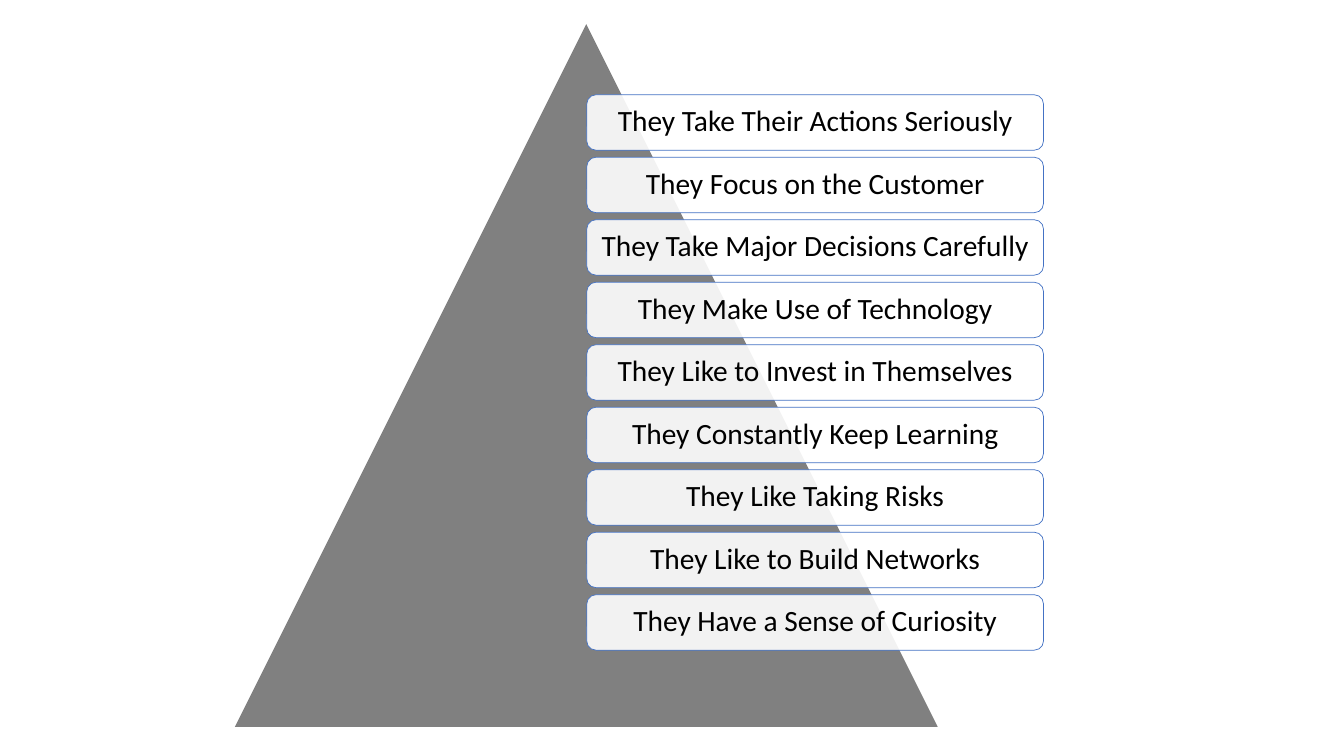
from dataclasses import dataclass

import pptx
import pptx.dml.color
import pptx.enum.shapes
import pptx.enum.text
import pptx.oxml.ns
import pptx.util
from lxml import etree
from pptx.util import Inches

RGBColor = pptx.dml.color.RGBColor
Kind = pptx.enum.shapes.MSO_SHAPE

GREY = RGBColor(0x80, 0x80, 0x80)
WHITE = RGBColor(0xFF, 0xFF, 0xFF)
BLUE = RGBColor(0x44, 0x72, 0xC4)
BLACK = RGBColor(0x00, 0x00, 0x00)

TRAITS = [
    "They Take Their Actions Seriously",
    "They Focus on the Customer",
    "They Take Major Decisions Carefully",
    "They Make Use of Technology",
    "They Like to Invest in Themselves",
    "They Constantly Keep Learning",
    "They Like Taking Risks",
    "They Like to Build Networks",
    "They Have a Sense of Curiosity",
]
FIRST_TOP = 0.94
PITCH = 0.62


@dataclass
class Box:
    left: float
    top: float
    width: float
    height: float


def add_shape(slide, kind, box: Box, fill: RGBColor):
    shape = slide.shapes.add_shape(
        kind, Inches(box.left), Inches(box.top), Inches(box.width), Inches(box.height)
    )
    shape.shadow.inherit = False
    shape.fill.solid()
    shape.fill.fore_color.rgb = fill
    shape.line.fill.background()
    return shape


def set_alpha(shape, percent: int) -> None:
    """Set the opacity of a solid fill."""
    qn = pptx.oxml.ns.qn
    color = shape.element.spPr.find(qn("a:solidFill")).find(qn("a:srgbClr"))
    etree.SubElement(color, qn("a:alpha"), val=str(percent * 1000))


def write(shape, text: str, *, size: float, color: RGBColor,
          font: str = "Calibri", inset: float = 0.09) -> None:
    frame = shape.text_frame
    frame.word_wrap = True
    frame.vertical_anchor = pptx.enum.text.MSO_ANCHOR.MIDDLE
    frame.margin_left = frame.margin_right = Inches(inset)
    frame.margin_top = frame.margin_bottom = Inches(inset)
    line = frame.paragraphs[0]
    line.alignment = pptx.enum.text.PP_ALIGN.CENTER
    line.line_spacing = 0.9
    run = line.add_run()
    run.text = text
    run.font.name = font
    run.font.size = pptx.util.Pt(size)
    run.font.color.rgb = color


def add_trait(slide, text: str, box: Box) -> None:
    card = add_shape(slide, Kind.ROUNDED_RECTANGLE, box, WHITE)
    set_alpha(card, 90)
    card.line.color.rgb = BLUE
    card.line.width = pptx.util.Pt(0.5)
    write(card, text, size=21, color=BLACK)


def main() -> None:
    deck = pptx.Presentation()
    deck.slide_width = Inches(13.33)
    deck.slide_height = Inches(7.5)
    slide = deck.slides.add_slide(deck.slide_layouts[6])
    add_shape(slide, Kind.ISOSCELES_TRIANGLE, Box(2.33, 0.24, 6.97, 6.97), GREY)
    for row, trait in enumerate(TRAITS):
        add_trait(slide, trait, Box(5.82, FIRST_TOP + row * PITCH, 4.53, 0.55))
    deck.save("out.pptx")


if __name__ == "__main__":
    main()
